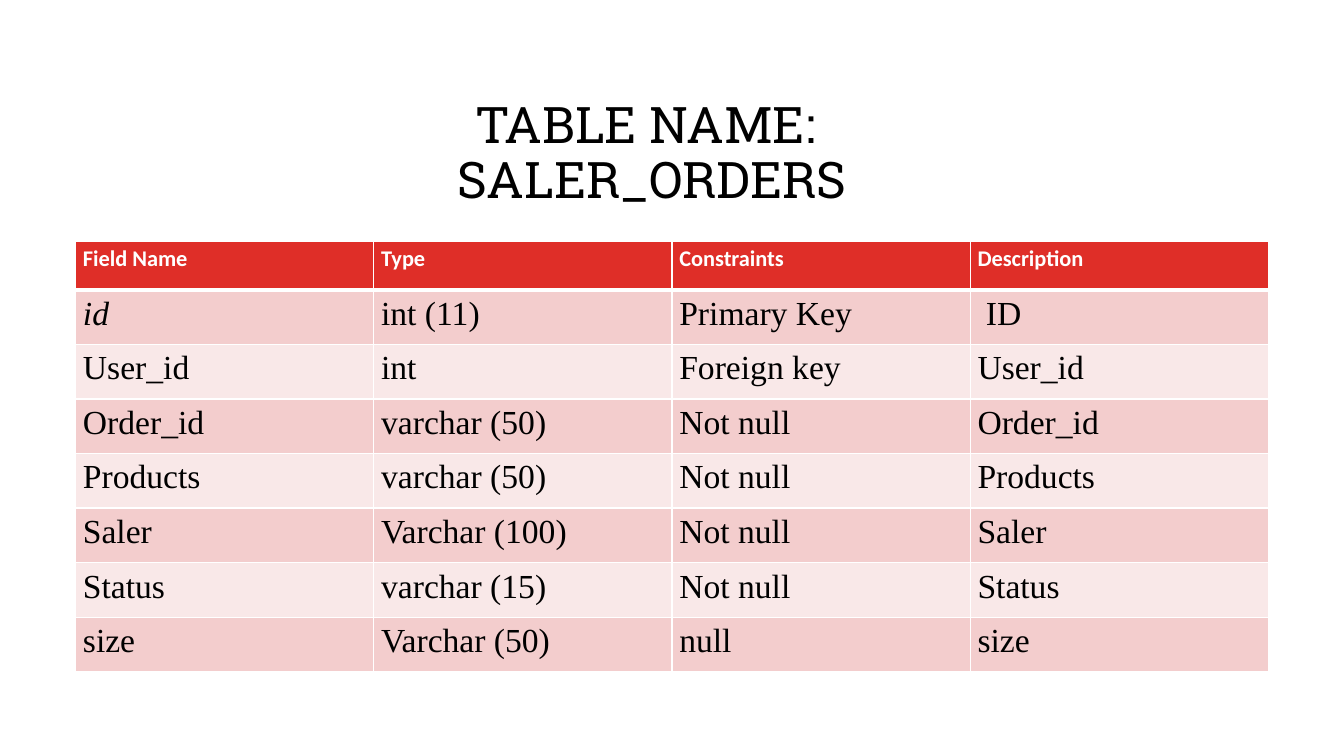
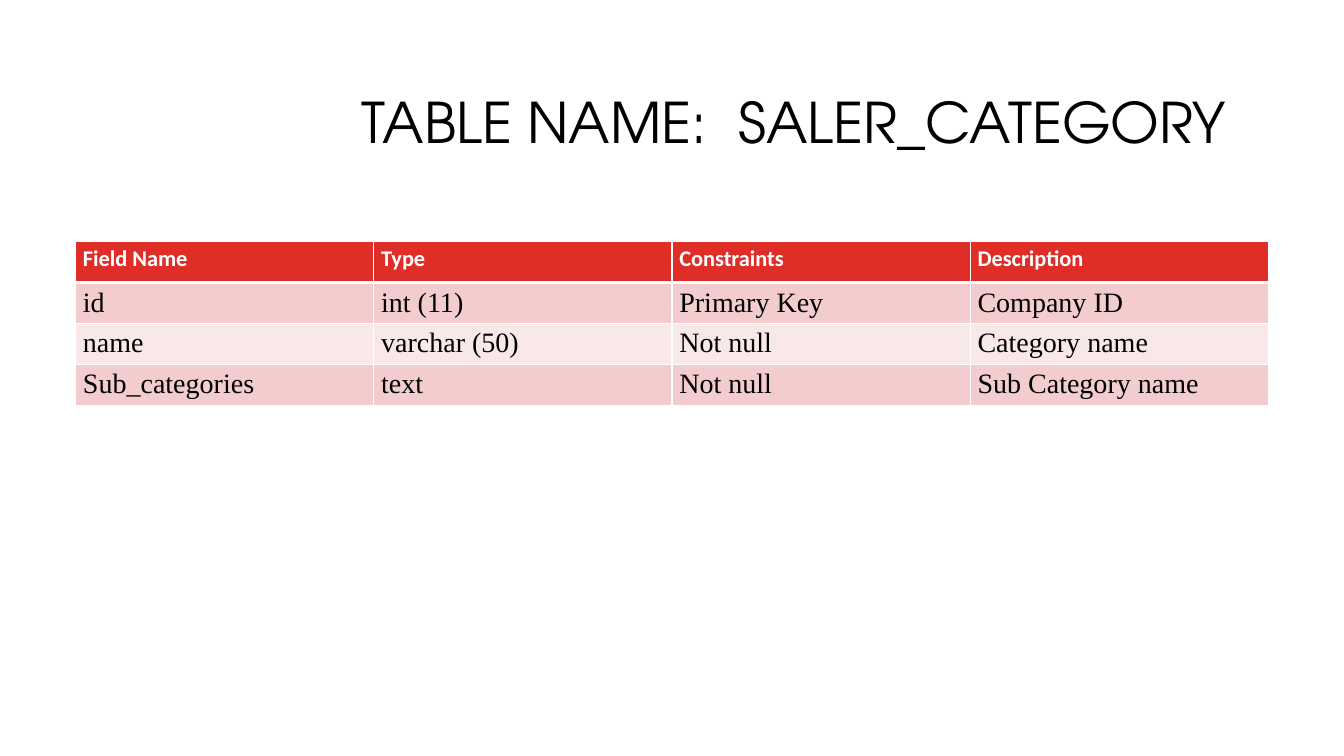
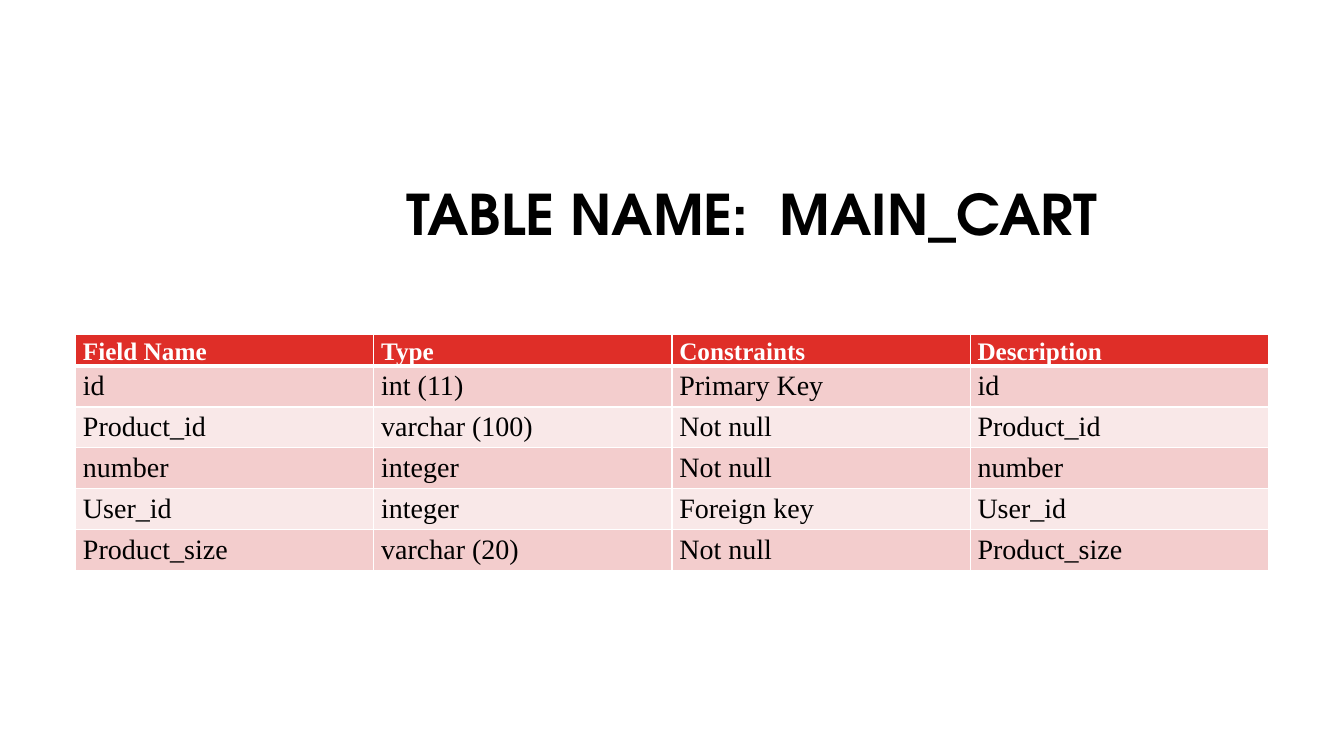
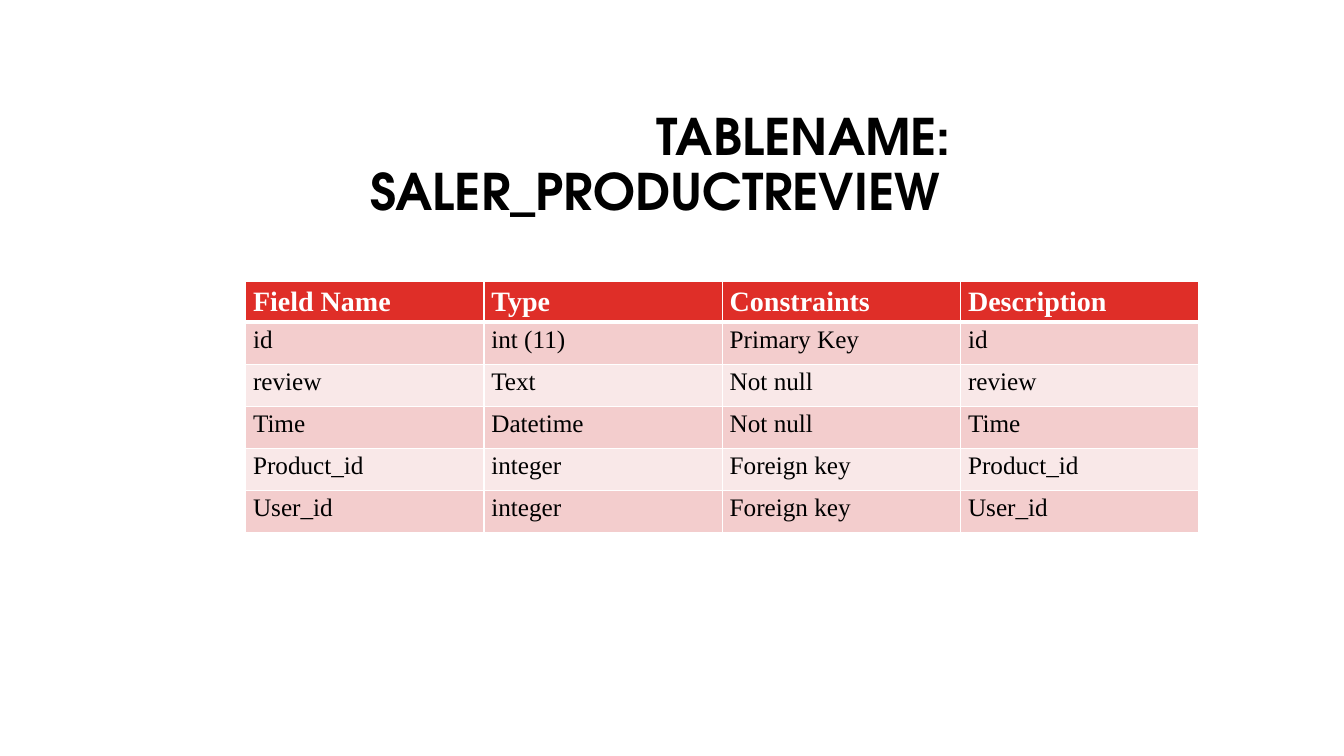
from lxml import etree
from pptx import Presentation
from pptx.dml.color import RGBColor
from pptx.enum.text import MSO_ANCHOR, MSO_AUTO_SIZE, PP_ALIGN
from pptx.oxml.ns import qn
from pptx.util import Emu, Pt

PX = 9525
CENTER, JUSTIFY, LEFT = PP_ALIGN.CENTER, PP_ALIGN.JUSTIFY, PP_ALIGN.LEFT
MIDDLE, NO_FIT = MSO_ANCHOR.MIDDLE, MSO_AUTO_SIZE.NONE
COLORS = {
    "black": "000000",
    "white": "FFFFFF",
    "header": "DF2E28",
    "odd": "F3CDCD",
    "even": "F9E8E8",
}
SLAB, GEOMETRIC, SERIF, SANS = "Roboto Slab", "TeX Gyre Adventor", "Times New Roman", "Calibri"
HEADINGS = ("Field Name", "Type", "Constraints", "Description")


def px(n):
    return Emu(n * PX)


def color(name):
    return RGBColor.from_string(COLORS[name])


def write(tf, text, font=SERIF, size=20, ink="black", bold=False, italic=False,
          align=JUSTIFY, spacing=1.15, indent=0):
    p = tf.paragraphs[0]
    p.alignment = align
    p.line_spacing = spacing
    if indent:
        p._p.get_or_add_pPr().set("indent", str(px(indent)))
    r = p.add_run()
    r.text = text
    r.font.name = font
    r.font.size = Pt(size)
    r.font.bold = bold
    r.font.italic = italic
    r.font.color.rgb = color(ink)


class Deck:
    def __init__(self):
        self.prs = Presentation()
        self.prs.slide_width, self.prs.slide_height = px(1280), px(720)
        self.s = None

    def slide(self):
        self.s = self.prs.slides.add_slide(self.prs.slide_layouts[6])

    def title(self, text, box, size, fill=None, align=CENTER, **fmt):
        sp = self.s.shapes.add_textbox(*map(px, box))
        if fill:
            sp.fill.solid()
            sp.fill.fore_color.rgb = color(fill)
        tf = sp.text_frame
        tf.word_wrap = True
        tf.auto_size = NO_FIT
        tf.vertical_anchor = MIDDLE
        tf.margin_bottom = px(5 + round(size * 1.43))
        write(tf, text, size=size, align=align, spacing=0.9, **fmt)

    def borders(self, cell, top, bottom):
        tc_pr = cell._tc.get_or_add_tcPr()
        for side, width in (("L", 1), ("R", 1), ("T", top), ("B", bottom)):
            ln = etree.SubElement(tc_pr, qn(f"a:ln{side}"), w=str(Pt(width)))
            solid = etree.SubElement(ln, qn("a:solidFill"))
            etree.SubElement(solid, qn("a:srgbClr"), val=COLORS["white"])

    def table(self, rows, left, top, col_width, head_height, row_height,
              head_size, size, head_font=SERIF, italics=()):
        rows = [HEADINGS, *rows]
        height = head_height + row_height * (len(rows) - 1)
        frame = self.s.shapes.add_table(len(rows), len(HEADINGS), px(left), px(top),
                                        px(col_width * len(HEADINGS)), px(height))
        table = frame.table
        table.first_row = table.horz_banding = False
        for i, row in enumerate(rows):
            head = i == 0
            table.rows[i].height = px(head_height if head else row_height)
            for j, text in enumerate(row):
                cell = table.cell(i, j)
                cell.margin_left = cell.margin_right = px(7)
                cell.margin_top = cell.margin_bottom = 0
                self.borders(cell, 3 if i == 1 else 1, 3 if head else 1)
                cell.fill.solid()
                cell.fill.fore_color.rgb = color("header" if head else "odd" if i % 2 else "even")
                if head:
                    write(cell.text_frame, text, font=head_font, size=head_size,
                          ink="white", bold=True)
                else:
                    write(cell.text_frame, text, size=size, italic=(i, j) in italics)


def main():
    deck = Deck()

    deck.slide()
    deck.title("TABLE NAME:  SALER_ORDERS", (366, 116, 510, 114), 36, font=SLAB)
    deck.table([
        ("id", "int (11)", "Primary Key", " ID"),
        ("User_id", "int", "Foreign key", "User_id"),
        ("Order_id", "varchar (50)", "Not null", "Order_id"),
        ("Products", "varchar (50)", "Not null", "Products"),
        ("Saler", "Varchar (100)", "Not null", "Saler"),
        ("Status", "varchar (15)", "Not null", "Status"),
        ("size", "Varchar (50)", "null", "size"),
    ], 72, 230, 284, 46, 52, 16, 24, head_font=SANS, italics={(1, 0)})

    deck.slide()
    deck.title("TABLE NAME:  SALER_CATEGORY", (304, 81, 904, 135), 40,
               fill="white", font=GEOMETRIC)
    deck.table([
        ("id", "int (11)", "Primary Key", "Company ID"),
        ("name", "varchar (50)", "Not null", "Category name"),
        ("Sub_categories", "text", "Not null", "Sub Category name"),
    ], 72, 230, 284, 39, 39, 16, 20, head_font=SANS)

    deck.slide()
    deck.title("TABLE NAME:  MAIN_CART", (264, 168, 904, 135), 40,
               fill="white", font=GEOMETRIC, bold=True)
    deck.table([
        ("id", "int (11)", "Primary Key", "id"),
        ("Product_id", "varchar (100)", "Not null", "Product_id"),
        ("number", "integer", "Not null", "number"),
        ("User_id", "integer", "Foreign key", "User_id"),
        ("Product_size", "varchar (20)", "Not null", "Product_size"),
    ], 72, 318, 284, 29, 39, 18, 20)

    deck.slide()
    deck.title("TABLENAME:  SALER_PRODUCTREVIEW", (343, 117, 605, 135), 36,
               font=GEOMETRIC, bold=True, align=LEFT, indent=273)
    deck.table([
        ("id", "int (11)", "Primary Key", "id"),
        ("review", "Text", "Not null", "review"),
        ("Time", "Datetime", "Not null", "Time"),
        ("Product_id", "integer", "Foreign key", "Product_id"),
        ("User_id", "integer", "Foreign key", "User_id"),
    ], 234, 268, 227, 39, 40, 20, 18)

    deck.prs.save("out.pptx")


if __name__ == "__main__":
    main()
